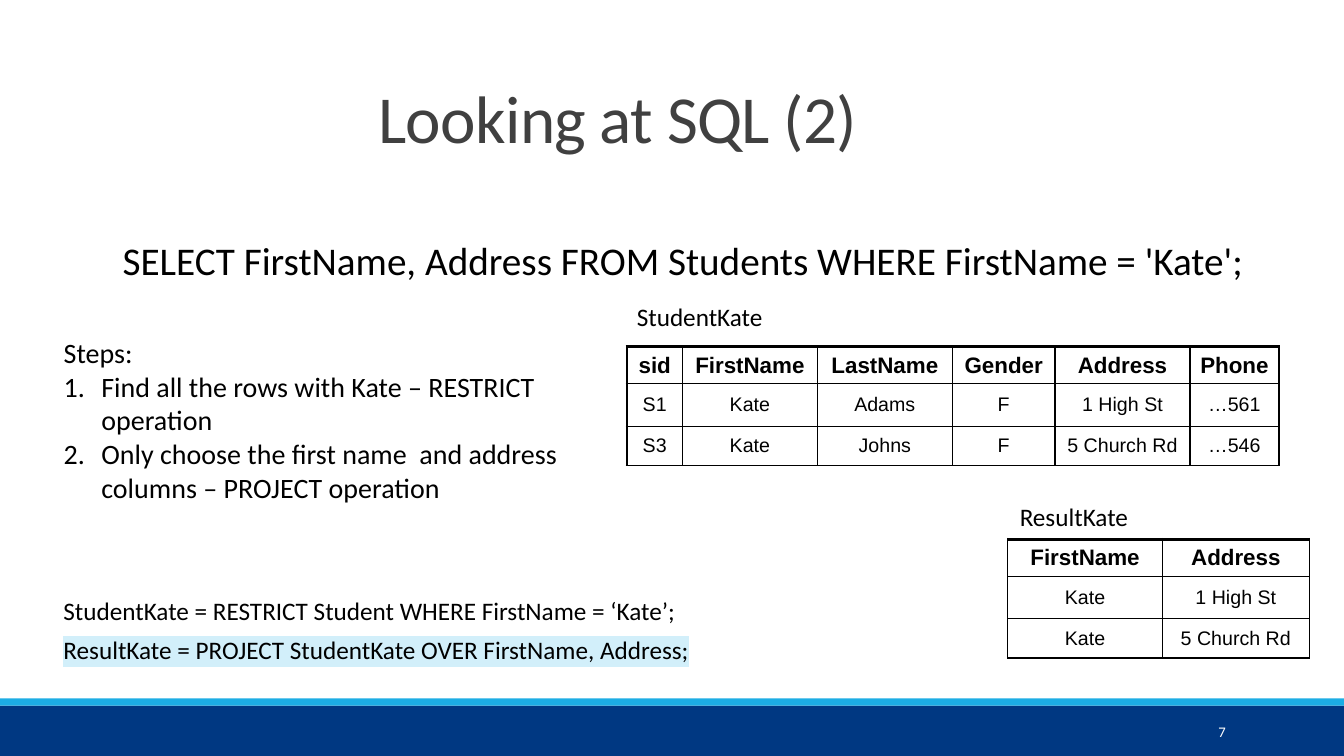
from dataclasses import dataclass

from lxml import etree
from pptx import Presentation
from pptx import util as u
from pptx.dml.color import RGBColor
from pptx.enum import shapes, text
from pptx.oxml.ns import qn

BLACK = "000000"
WHITE = "FFFFFF"


@dataclass
class Bar:
    top: float
    height: float
    color: str


@dataclass
class Label:
    text: str
    left: float
    top: float
    width: float
    height: float
    size: float = 18
    spacing: float = 1.0
    wrap: bool = True
    highlight: str = ""


@dataclass
class Relation:
    left: float
    top: float
    widths: list[float]
    rows: list[list[str]]
    thick_sides: bool = False


BARS = [Bar(17.78, 1.27, "003882"), Bar(17.6, 0.18, "1CADE4")]

LABELS = [
    Label("SELECT FirstName, Address FROM Students WHERE FirstName = 'Kate';",
          2.84, 5.84, 29.08, 1.45, size=28),
    Label("StudentKate", 15.8, 7.47, 4.39, 1.02),
    Label("ResultKate", 25.45, 12.5, 4.39, 1.02),
    Label("StudentKate = RESTRICT Student WHERE FirstName = ‘Kate’;",
          1.35, 14.5, 16.1, 1.3, spacing=1.5, wrap=False),
    Label("ResultKate = PROJECT StudentKate OVER FirstName, Address;",
          1.35, 15.49, 16.43, 1.3, spacing=1.5, wrap=False, highlight="D2EFFA"),
]

STEPS = [
    "Find all the rows with Kate – RESTRICT operation",
    "Only choose the first name  and address columns – PROJECT operation",
]

ROW_HEIGHTS = [0.91, 1.07, 0.99]

RELATIONS = [
    Relation(15.8, 8.74, [1.4, 3.4, 3.4, 2.59, 3.4, 2.24], [
        ["sid", "FirstName", "LastName", "Gender", "Address", "Phone"],
        ["S1", "Kate", "Adams", "F", "1 High St", "…561"],
        ["S3", "Kate", "Johns", "F", "5 Church Rd", "…546"],
    ], thick_sides=True),
    Relation(25.4, 13.59, [3.89, 3.71], [
        ["FirstName", "Address"],
        ["Kate", "1 High St"],
        ["Kate", "5 Church Rd"],
    ]),
]


def rgb(color: str) -> RGBColor:
    return RGBColor.from_string(color)


def place(sp, left: float, top: float, width: float, height: float) -> None:
    sp.left, sp.top = u.Cm(left), u.Cm(top)
    sp.width, sp.height = u.Cm(width), u.Cm(height)


def style(font, size: float, color: str = BLACK, name: str = "Calibri", bold: bool = False) -> None:
    font.size = u.Pt(size)
    font.name = name
    font.bold = bold
    font.color.rgb = rgb(color)


def add_run(p, content: str, size: float, color: str = BLACK, name: str = "Calibri", bold: bool = False):
    r = p.add_run()
    r.text = content
    style(r.font, size, color, name, bold)
    return r


def add_bar(slide, bar: Bar, width: int) -> None:
    sp = slide.shapes.add_shape(shapes.MSO_SHAPE.RECTANGLE, 0, u.Cm(bar.top), width, u.Cm(bar.height))
    sp.shadow.inherit = False
    sp.fill.solid()
    sp.fill.fore_color.rgb = rgb(bar.color)
    sp.line.fill.background()


def add_title(slide) -> None:
    sp = slide.shapes.title
    place(sp, 1.6, 1.83, 27.94, 4.04)
    tf = sp.text_frame
    tf.auto_size = text.MSO_AUTO_SIZE.NONE
    tf.vertical_anchor = text.MSO_ANCHOR.BOTTOM
    tf.margin_bottom = u.Cm(1.9)
    p = tf.paragraphs[0]
    p.alignment = text.PP_ALIGN.CENTER
    p.line_spacing = 0.85
    r = add_run(p, "Looking at SQL (2)", 48, "404040")
    r._r.get_or_add_rPr().set("spc", "-50")


def add_steps(slide) -> None:
    sp = slide.placeholders[1]
    place(sp, 1.35, 8.33, 14.73, 6.07)
    tf = sp.text_frame
    tf.auto_size = text.MSO_AUTO_SIZE.NONE
    for i, step in enumerate(["Steps:"] + STEPS):
        p = tf.paragraphs[0] if i == 0 else tf.add_paragraph()
        indent = u.Cm(0.95) if i else 0
        pPr = p._p.get_or_add_pPr()
        pPr.set("marL", str(indent))
        pPr.set("indent", str(-indent))
        if i:
            etree.SubElement(pPr, qn("a:buFont"), typeface="+mj-lt")
            etree.SubElement(pPr, qn("a:buAutoNum"), type="arabicPeriod")
        else:
            etree.SubElement(pPr, qn("a:buNone"))
        p.space_before = u.Pt(0)
        add_run(p, step, 20)


def add_label(slide, label: Label) -> None:
    sp = slide.shapes.add_textbox(0, 0, 0, 0)
    place(sp, label.left, label.top, label.width, label.height)
    tf = sp.text_frame
    tf.word_wrap = label.wrap
    p = tf.paragraphs[0]
    p.line_spacing = label.spacing
    r = add_run(p, label.text, label.size)
    if label.highlight:
        mark = etree.Element(qn("a:highlight"))
        etree.SubElement(mark, qn("a:srgbClr"), val=label.highlight)
        r._r.get_or_add_rPr().find(qn("a:solidFill")).addnext(mark)


def set_borders(cell, thick: set[str]) -> None:
    tcPr = cell._tc.get_or_add_tcPr()
    for i, side in enumerate("LRTB"):
        width = u.Pt(2.25 if side in thick else 1)
        ln = etree.Element(qn(f"a:ln{side}"), w=str(width))
        fill = etree.SubElement(ln, qn("a:solidFill"))
        etree.SubElement(fill, qn("a:srgbClr"), val=BLACK)
        tcPr.insert(i, ln)


def add_relation(slide, rel: Relation) -> None:
    last = len(rel.widths) - 1
    frame = slide.shapes.add_table(len(rel.rows), last + 1, u.Cm(rel.left), u.Cm(rel.top),
                                   u.Cm(sum(rel.widths)), u.Cm(sum(ROW_HEIGHTS)))
    table = frame.table
    table.first_row = table.horz_banding = False
    for column, width in zip(table.columns, rel.widths):
        column.width = u.Cm(width)
    for i, (values, height) in enumerate(zip(rel.rows, ROW_HEIGHTS)):
        table.rows[i].height = u.Cm(height)
        for j, value in enumerate(values):
            cell = table.cell(i, j)
            cell.fill.background()
            cell.vertical_anchor = text.MSO_ANCHOR.MIDDLE
            cell.margin_left = cell.margin_right = u.Cm(0.1)
            p = cell.text_frame.paragraphs[0]
            p.alignment = text.PP_ALIGN.CENTER
            add_run(p, value, 14 if i else 16, name="Arial", bold=i == 0)
            thick = {"T"} if i == 0 else set()
            if rel.thick_sides:
                thick |= {side for side, edge in (("L", 0), ("R", last)) if j == edge}
            set_borders(cell, thick)


def add_slide_number(slide) -> None:
    sp = slide.shapes.add_textbox(0, 0, 0, 0)
    place(sp, 27.51, 17.93, 3.63, 1.02)
    tf = sp.text_frame
    tf.word_wrap = True
    tf.vertical_anchor = text.MSO_ANCHOR.MIDDLE
    p = tf.paragraphs[0]
    p.alignment = text.PP_ALIGN.RIGHT
    add_run(p, "7", 10.5, WHITE)


def main() -> None:
    prs = Presentation()
    prs.slide_width, prs.slide_height = u.Cm(33.87), u.Cm(19.05)
    slide = prs.slides.add_slide(prs.slide_layouts[1])
    for bar in BARS:
        add_bar(slide, bar, prs.slide_width)
    add_slide_number(slide)
    add_title(slide)
    add_steps(slide)
    for label in LABELS:
        add_label(slide, label)
    for rel in RELATIONS:
        add_relation(slide, rel)
    prs.save("out.pptx")


if __name__ == "__main__":
    main()
